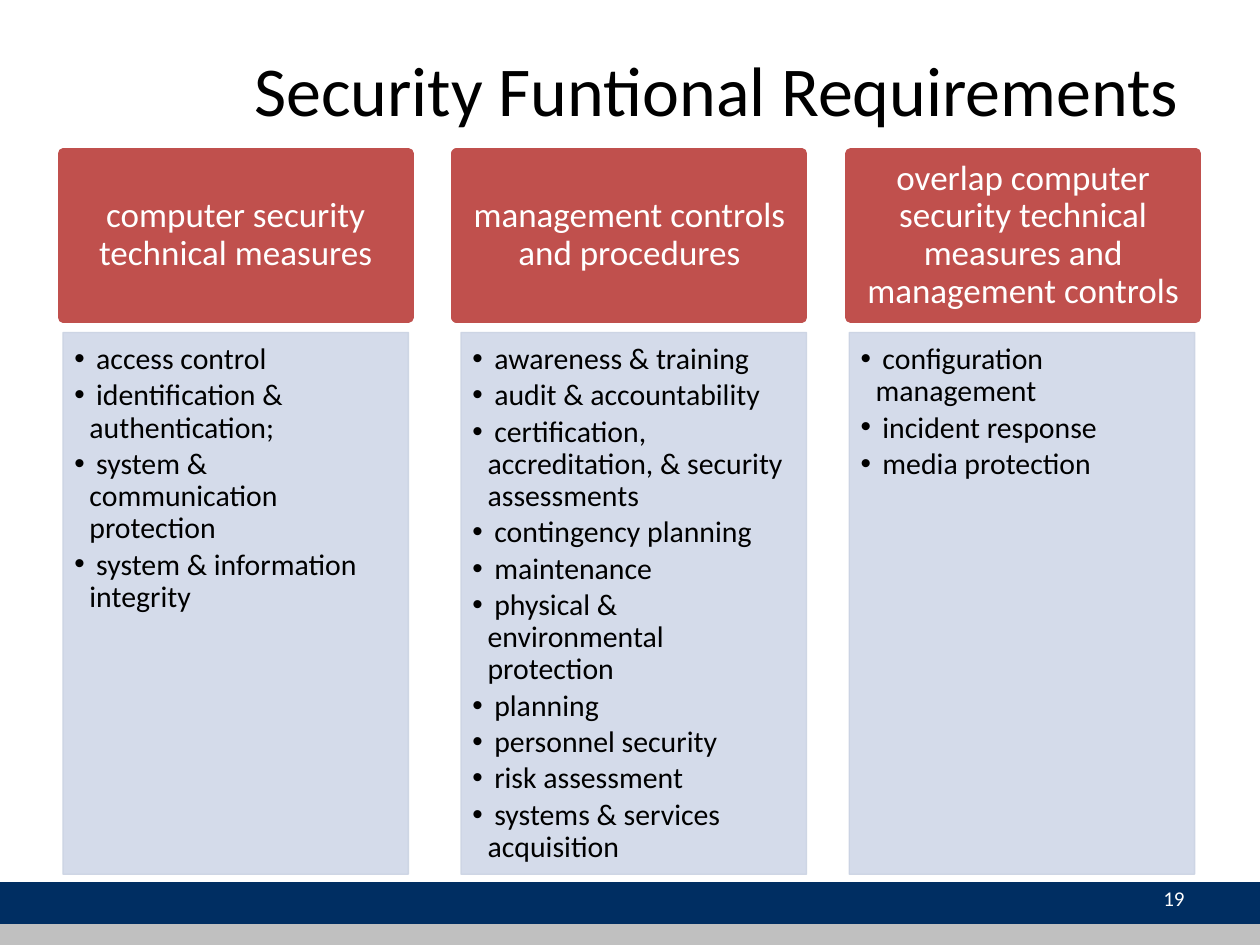
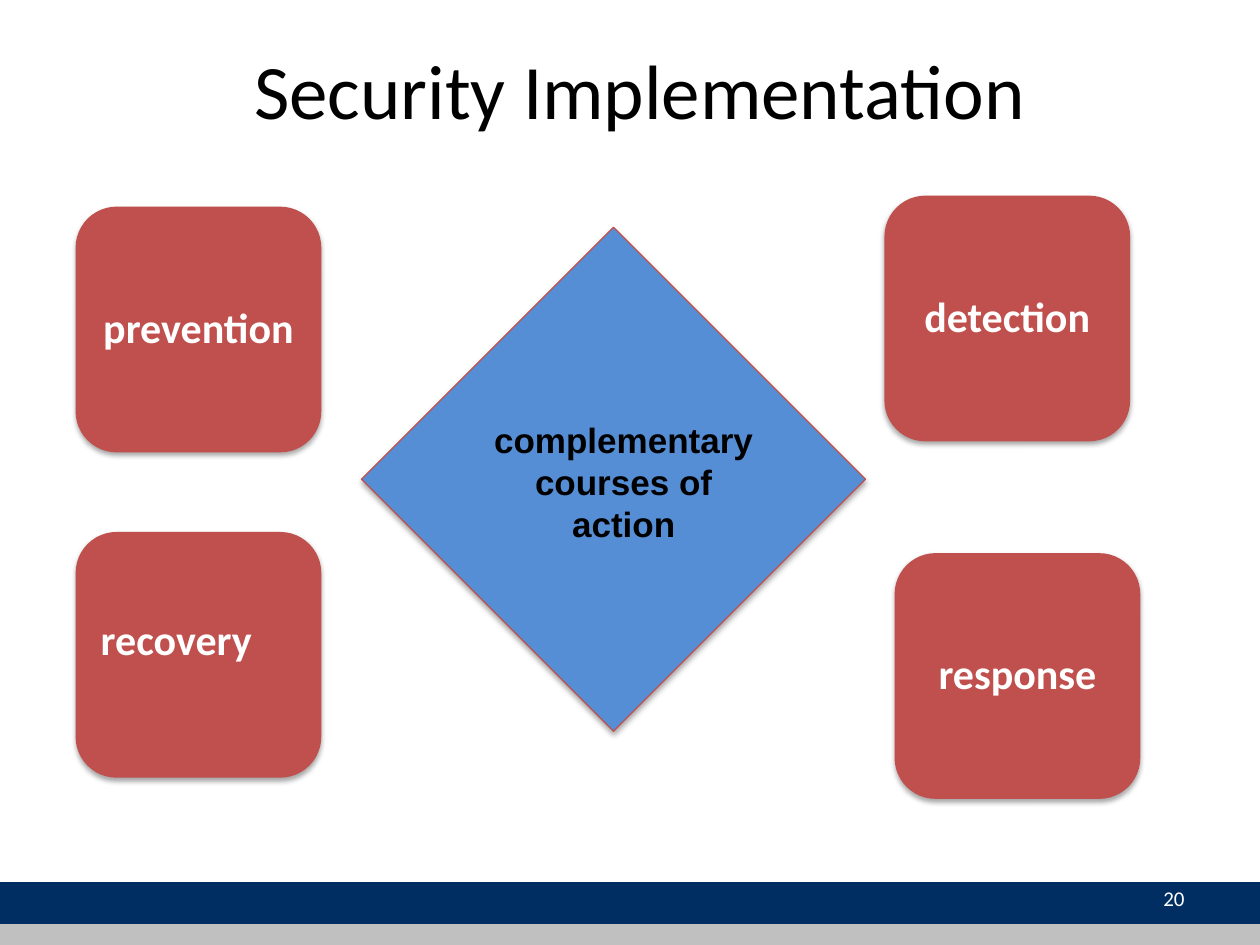
from dataclasses import dataclass

from lxml import etree
from pptx import Presentation
from pptx.dml.color import RGBColor
from pptx.enum import shapes, text
from pptx.oxml import ns
from pptx.util import Pt

COLUMNS = [
    ("computer security technical measures", 36,
     ["access control", "identification & authentication;",
      "system & communication protection", "system & information integrity"]),
    ("management controls and procedures", 263.5,
     ["awareness & training", "audit & accountability",
      "certification, accreditation, & security assessments",
      "contingency planning", "maintenance",
      "physical & environmental protection", "planning",
      "personnel security", "risk assessment",
      "systems & services acquisition"]),
    ("overlap computer security technical measures and management controls", 485.3,
     ["configuration management", "incident response", "media protection"]),
]
ACTIONS = [
    ("response", 511.2, 316.1),
    ("prevention", 43.2, 118.1),
    ("recovery", 43.2, 304),
    ("detection", 505.4, 111.8),
]
CENTRE = "complementary courses of action"


@dataclass(frozen=True)
class Theme:
    font: str = "Calibri"
    centre_font: str = "Arial"
    navy: str = "002E62"
    grey: str = "C0C0C0"
    red: str = "C0504D"
    blue: str = "558ED5"
    pale: str = "D0D8E8"
    pale_edge: str = "CBD3E3"
    black: str = "000000"
    white: str = "FFFFFF"
    head_size: float = 20
    list_size: float = 17
    action_size: float = 24
    number_size: float = 12


T = Theme()
SHAPE = shapes.MSO_SHAPE
ALIGN = text.PP_ALIGN
ANCHOR = text.MSO_ANCHOR


def assign(obj, **values):
    for name, value in values.items():
        setattr(obj, name, value)


def element(parent, tag, **attrs):
    return etree.SubElement(parent, ns.qn(tag), {k: str(v) for k, v in attrs.items()})


def add_shape(s, kind, box, fill, line=None, width=0.75, alpha=None, shadow=False):
    sp = s.shapes.add_shape(kind, *map(Pt, box))
    sp.shadow.inherit = False
    sp.fill.solid()
    sp.fill.fore_color.rgb = RGBColor.from_string(fill)
    if line:
        sp.line.color.rgb = RGBColor.from_string(line)
        sp.line.width = Pt(width)
    else:
        sp.line.fill.background()
    props = sp._element.spPr
    if alpha:
        for colour in list(props.iter(ns.qn("a:srgbClr"))):
            element(colour, "a:alpha", val=alpha * 1000)
    if shadow:
        outer = element(props.find(ns.qn("a:effectLst")), "a:outerShdw",
                        blurRad=Pt(3.1), dist=Pt(1.8), dir=90 * 60000, rotWithShape=0)
        element(element(outer, "a:srgbClr", val=T.black), "a:alpha", val=35000)
    return sp


def write(sp, lines, size, color, align=ALIGN.LEFT, anchor=ANCHOR.MIDDLE,
          insets=(7.2, 3.6, 7.2, 3.6), spacing=1.0, after=0, bullet=False,
          font=T.font, bold=False):
    tf = sp.text_frame
    sides = ("margin_left", "margin_top", "margin_right", "margin_bottom")
    assign(tf, word_wrap=True, vertical_anchor=anchor, **dict(zip(sides, map(Pt, insets))))
    for i, line in enumerate(lines):
        p = tf.add_paragraph() if i else tf.paragraphs[0]
        if bullet:
            props = p._p.get_or_add_pPr()
            props.set("marL", str(Pt(8.64)))
            props.set("indent", str(-Pt(8.64)))
            element(props, "a:buFont", typeface="Arial")
            element(props, "a:buChar", char="•")
        assign(p, alignment=align, line_spacing=spacing, space_after=Pt(after))
        r = p.add_run()
        r.text = f" {line}" if bullet else line
        assign(r.font, name=font, size=Pt(size), bold=bold)
        r.font.color.rgb = RGBColor.from_string(color)


def add_text(s, box, line, size, color, **style):
    write(s.shapes.add_textbox(*map(Pt, box)), [line], size, color, **style)


def new_slide(prs, title, title_size):
    s = prs.slides.add_slide(prs.slide_layouts[6])
    add_shape(s, SHAPE.RECTANGLE, (0, 504, 720, 24), T.navy)
    add_shape(s, SHAPE.RECTANGLE, (0, 528, 720, 12), T.grey)
    add_text(s, (138.2, 5.8, 570.2, 90), title, title_size, T.black)
    return s


def add_number(s, number):
    add_text(s, (516.2, 499, 167.8, 28.8), str(number), T.number_size, T.white,
             align=ALIGN.RIGHT)


def requirements(prs):
    s = new_slide(prs, "Security Funtional Requirements", 40)
    for i, (heading, left, items) in enumerate(COLUMNS):
        sp = add_shape(s, SHAPE.RECTANGLE, (36 + i * 225, 87.8, 197.4, 93.6),
                       T.red, T.red, width=6)
        write(sp, [heading], T.head_size, T.white, align=ALIGN.CENTER,
              insets=(8.6, 5, 8.6, 5), spacing=0.9)
        sp = add_shape(s, SHAPE.RECTANGLE, (left, 190, 197.4, 309.6),
                       T.pale, T.pale_edge, alpha=90)
        write(sp, items, T.list_size, T.black, anchor=ANCHOR.TOP,
              insets=(6.5, 6.5, 8.6, 9.4), spacing=0.9, after=2.4, bullet=True)
    add_number(s, 19)


def implementation(prs):
    s = new_slide(prs, "Security Implementation", 44)
    add_shape(s, SHAPE.DIAMOND, (206.6, 129.9, 288, 288), T.blue, T.red, shadow=True)
    centred = dict(align=ALIGN.CENTER, insets=(7.5,) * 4)
    lifted = dict(align=ALIGN.LEFT, anchor=ANCHOR.TOP, insets=(7.5, 43, 7.5, 7.5))
    for action, left, top in ACTIONS:
        sp = add_shape(s, SHAPE.ROUNDED_RECTANGLE, (left, top, 140.4, 140.4),
                       T.red, shadow=True)
        style = lifted if action == "recovery" else centred
        write(sp, [action], T.action_size, T.white, spacing=0.9, bold=True, **style)
    add_text(s, (269.3, 235.4, 174.2, 79.9), CENTRE, T.head_size, T.black,
             align=ALIGN.CENTER, anchor=ANCHOR.TOP, font=T.centre_font, bold=True)
    add_number(s, 20)


def main():
    prs = Presentation()
    assign(prs, slide_width=Pt(720), slide_height=Pt(540))
    requirements(prs)
    implementation(prs)
    prs.save("out.pptx")


if __name__ == "__main__":
    main()
